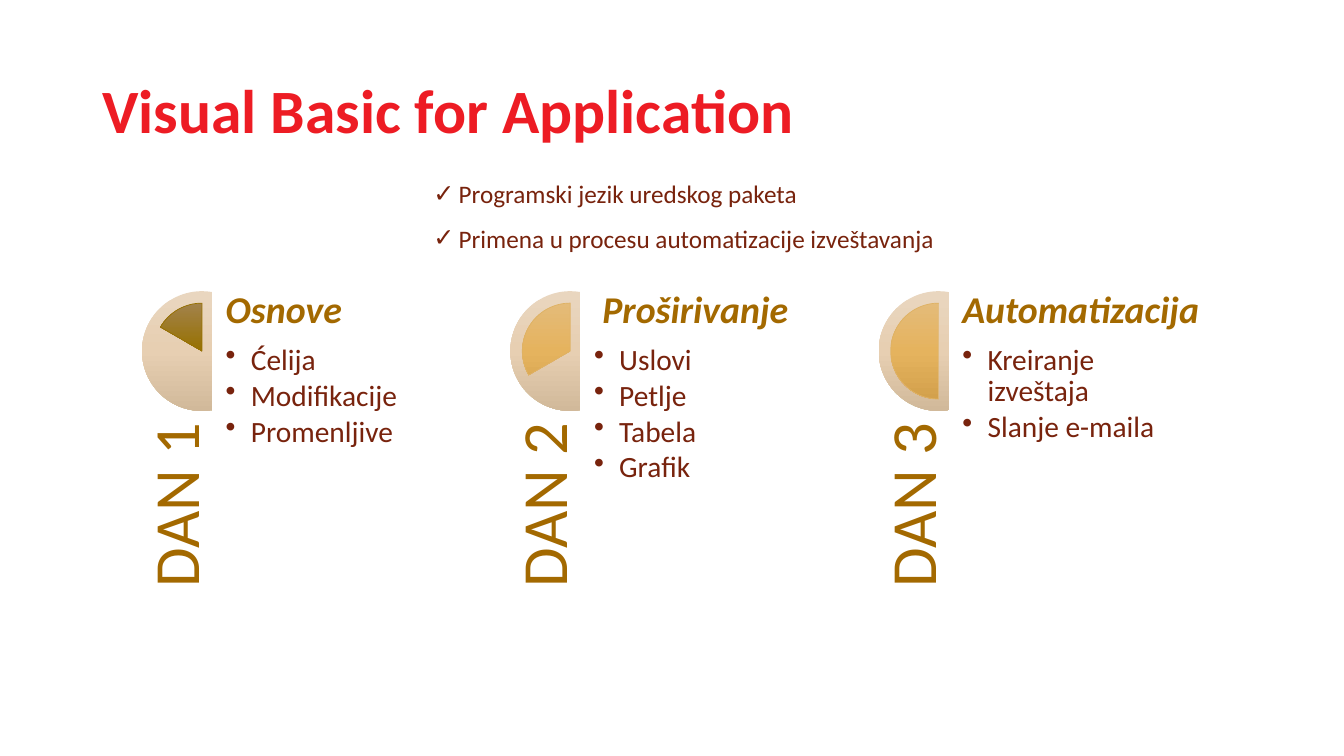
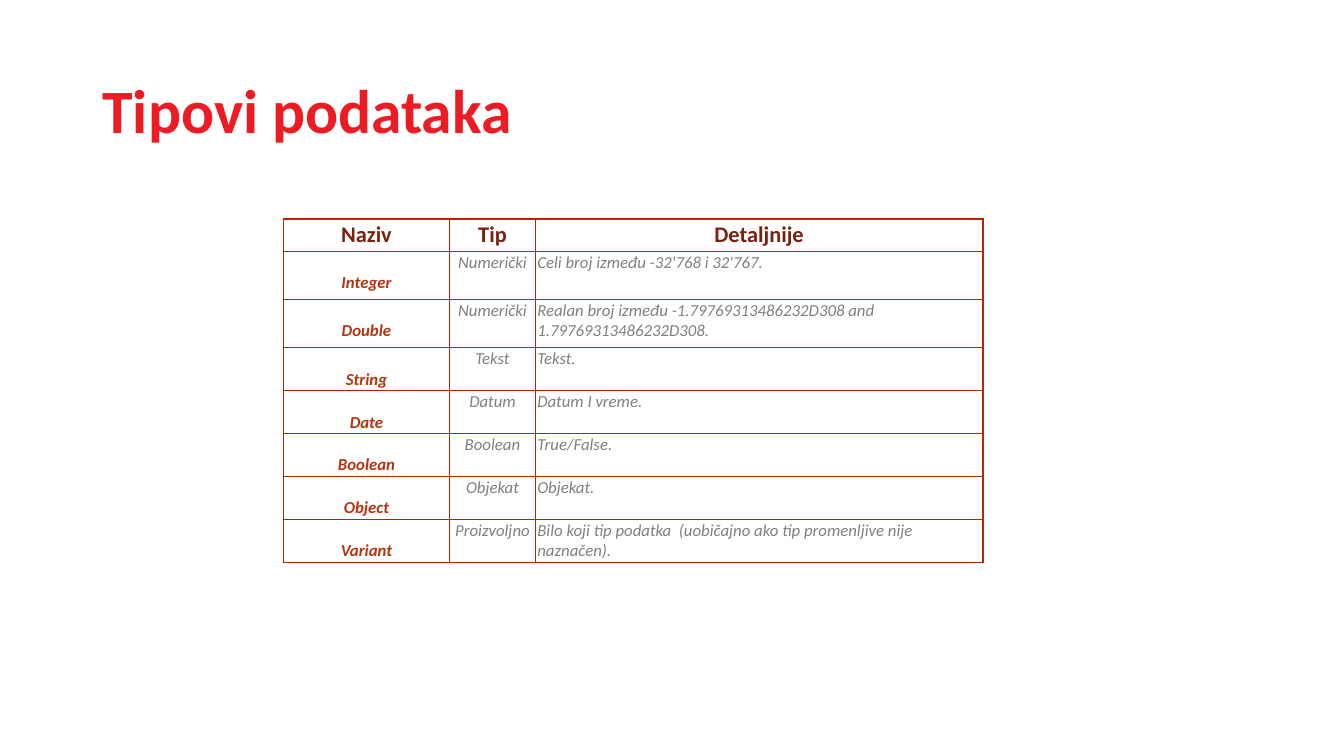
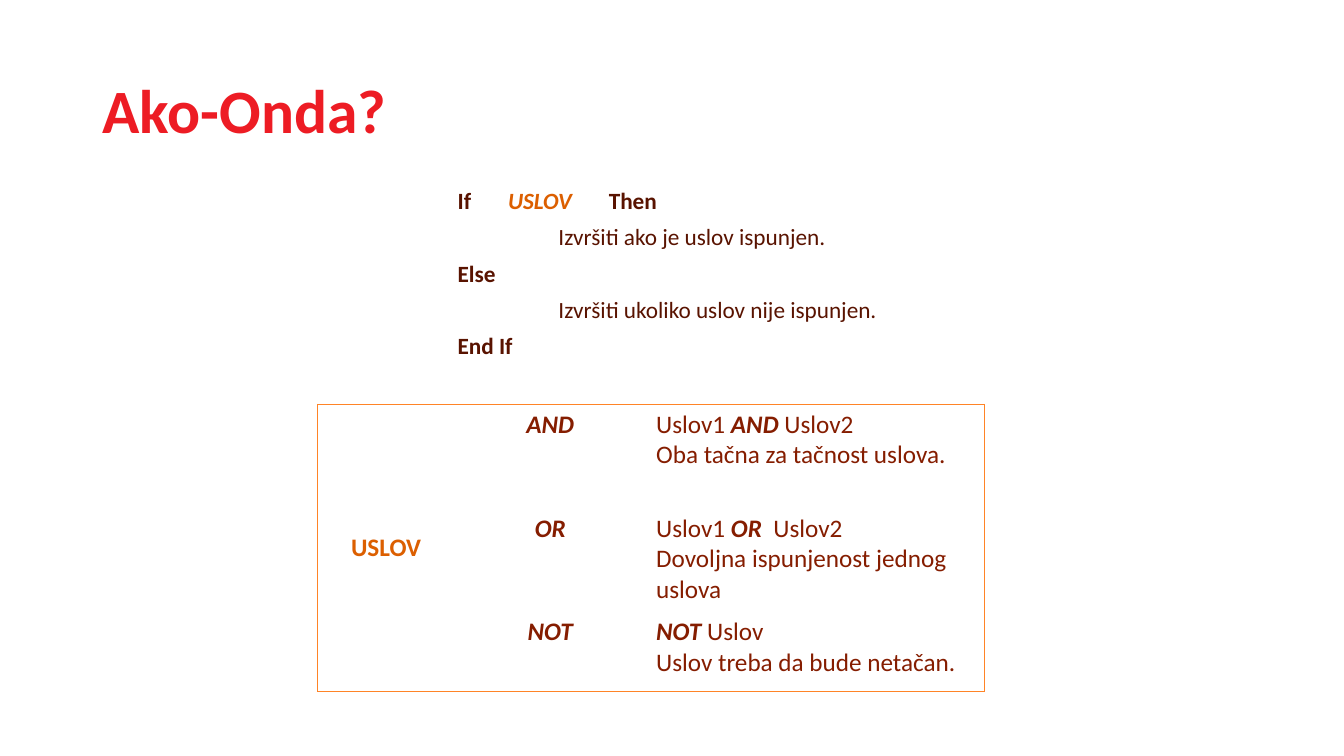
"""Builds three slides on a programming course: outline, data types and conditions."""
from copy import deepcopy

from lxml import etree
from pptx import Presentation
from pptx.dml.color import RGBColor
from pptx.enum.shapes import MSO_SHAPE
from pptx.enum.text import MSO_ANCHOR, MSO_AUTO_SIZE, PP_ALIGN
from pptx.oxml.ns import qn
from pptx.util import Pt

CHORD, PIE = MSO_SHAPE.CHORD, MSO_SHAPE.PIE
TOP, MID, LOW = MSO_ANCHOR.TOP, MSO_ANCHOR.MIDDLE, MSO_ANCHOR.BOTTOM
LEFT, MEAN, RIGHT = PP_ALIGN.LEFT, PP_ALIGN.CENTER, PP_ALIGN.RIGHT
FIXED = MSO_AUTO_SIZE.NONE
FACE = "Calibri"
INK = {
    "title": "ED1C24", "brown": "78230D", "gold": "A36900", "rust": "B53513",
    "gray": "808080", "dark": "591300", "orange": "DC5F00", "wine": "851D00",
    "grid": "B22600", "frame": "FF8427", "deep": "977100", "sand": "DFB264",
}
FADE = {
    "disc": ("E9D6BF", "E7CFB2", "D1B99A"),
    "deep": ("A2824B", "977100", "866500"),
    "sand": ("E4BB79", "E5B35E", "D3A14C"),
}
FLUSH = dict(margin_left=0, margin_right=0, margin_top=0, margin_bottom=0)
SNUG = dict(margin_left=Pt(1.4), margin_right=Pt(1.4),
            margin_top=Pt(0.7), margin_bottom=Pt(0.7))
DAYS = [
    ("DAN 1", "Osnove", 0, ["Ćelija", "Modifikacije", "Promenljive"], 126, "deep"),
    ("DAN 2", "Proširivanje", 6, ["Uslovi", "Petlje", "Tabela", "Grafik"], 90, "sand"),
    ("DAN 3", "Automatizacija", 0, ["Kreiranje izveštaja", "Slanje e-maila"], 54, "sand"),
]
TYPES = [
    ("Naziv", "Tip", "Detaljnije"),
    ("Integer", "Numerički", "Celi broj između -32'768 i 32'767."),
    ("Double", "Numerički",
     "Realan broj između -1.79769313486232D308 and 1.79769313486232D308."),
    ("String", "Tekst", "Tekst."),
    ("Date", "Datum", "Datum I vreme."),
    ("Boolean", "Boolean", "True/False."),
    ("Object", "Objekat", "Objekat."),
    ("Variant", "Proizvoljno",
     "Bilo koji tip podatka  (uobičajno ako tip promenljive nije naznačen)."),
]


def put(item, form):
    """Set each attribute of the item from a dict."""
    for name, value in form.items():
        setattr(item, name, value)


def tint(name):
    """Return the named colour."""
    return RGBColor.from_string(INK[name])


def run(text, size, ink, bold=False, italic=False):
    """Describe one run of text."""
    return text, ink, dict(name=FACE, size=Pt(size), bold=bold, italic=italic)


def line(*runs, mark=None, left=0, hang=0, tabs=(), **form):
    """Describe one paragraph."""
    base = dict(alignment=LEFT, line_spacing=1.0, space_before=Pt(0), space_after=Pt(0))
    return runs, mark, left, hang, tabs, {**base, **form}


def write(frame, lines):
    """Fill a text frame with described paragraphs."""
    for n, (runs, mark, left, hang, tabs, form) in enumerate(lines):
        para = frame.paragraphs[0] if n == 0 else frame.add_paragraph()
        put(para, form)
        if n == 0:
            para.space_before = Pt(0)
        props = para._p.get_or_add_pPr()
        props.set("marL", str(Pt(left)))
        props.set("indent", str(Pt(-hang)))
        if mark:
            etree.SubElement(props, qn("a:buChar"), char=mark)
        else:
            etree.SubElement(props, qn("a:buNone"))
        if tabs:
            stops = etree.SubElement(props, qn("a:tabLst"))
            for stop in tabs:
                etree.SubElement(stops, qn("a:tab"), pos=str(Pt(stop)), algn="l")
        for text, ink, font in runs:
            part = para.add_run()
            part.text = text
            put(part.font, font)
            part.font.color.rgb = tint(ink)


def place(shape, box, lines, **form):
    """Move a text shape and write in it."""
    put(shape, dict(zip(("left", "top", "width", "height"), map(Pt, box))))
    put(shape.text_frame, dict(word_wrap=True, auto_size=FIXED, vertical_anchor=TOP, **form)
        if "vertical_anchor" not in form else dict(word_wrap=True, auto_size=FIXED, **form))
    write(shape.text_frame, lines)


def start(deck, kind, title):
    """Add a slide with the shared title style."""
    slide = deck.slides.add_slide(deck.slide_layouts[kind])
    place(slide.shapes.title, (66, 28.8, 828, 104.4),
          [line(run(title, 44, "title", True), line_spacing=0.9)], vertical_anchor=MID)
    return slide


def label(slide, box, lines, turn=0, **form):
    """Add a text box without insets."""
    shape = slide.shapes.add_textbox(0, 0, 0, 0)
    place(shape, box, lines, **FLUSH, **form)
    shape.rotation = turn


def disc(slide, kind, left, top, size, arc, fade, edge=None):
    """Add a cut disc with a vertical gradient."""
    shape = slide.shapes.add_shape(kind, *map(Pt, (left, top, size, size)))
    shape.shadow.inherit = False
    for n, angle in enumerate(arc):
        shape.adjustments[n] = angle
    shape.fill.gradient()
    shape.fill.gradient_angle = 270
    stops = shape._element.spPr.find(".//" + qn("a:gsLst"))
    stops.insert(1, deepcopy(stops[0]))
    for n, (stop, shade) in enumerate(zip(shape.fill.gradient_stops, FADE[fade])):
        stop.position = n / 2
        stop.color.rgb = RGBColor.from_string(shade)
    if edge:
        shape.line.color.rgb = tint(edge)
        shape.line.width = Pt(0.5)
    else:
        shape.line.fill.background()


def grid(slide, left, top, cols, rows):
    """Add an empty plain table."""
    table = slide.shapes.add_table(len(rows), len(cols), Pt(left), Pt(top),
                                   Pt(sum(cols)), Pt(sum(rows))).table
    put(table, dict(first_row=False, horz_banding=False))
    for col, width in zip(table.columns, cols):
        col.width = Pt(width)
    for row, height in zip(table.rows, rows):
        row.height = Pt(height)
    return table


def cell(box, lines, sides, ink, width, **form):
    """Format one table cell and draw the given sides."""
    props = box._tc.get_or_add_tcPr()
    for side in "LRTB":
        edge = etree.SubElement(props, qn("a:ln" + side), w=str(Pt(width)))
        if side in sides:
            fill = etree.SubElement(edge, qn("a:solidFill"))
            etree.SubElement(fill, qn("a:srgbClr"), val=INK[ink])
        else:
            etree.SubElement(edge, qn("a:noFill"))
    box.fill.background()
    put(box, form)
    write(box.text_frame, lines)


def plan(deck):
    """Build the course outline."""
    slide = start(deck, 1, "Visual Basic for Application")
    goals = ["Programski jezik uredskog paketa", "Primena u procesu automatizacije izveštavanja"]
    place(slide.placeholders[1], (302.4, 124, 408, 72.5),
          [line(run(goal, 18, "brown"), mark="✓", left=18, hang=18, space_before=Pt(10))
           for goal in goals])
    top = 208
    for n, (day, head, shift, items, angle, fade) in enumerate(DAYS):
        left = 101.5 + 263.1 * n
        disc(slide, CHORD, left, top, 85.5, (48, 168), "disc")
        disc(slide, PIE, left + 8.5, top + 8.5, 68.5, (angle, 162), fade, fade)
        label(slide, (left - 89.5, 391.5, 230, 51),
              [line(run(day, 46, "gold"), alignment=RIGHT, line_spacing=0.9)],
              270, vertical_anchor=LOW)
        lines = [line(run(head, 27, "gold", True, True), left=shift,
                      line_spacing=0.9, space_after=Pt(9))]
        lines += [line(run(item, 21, "brown"), mark="•", left=18, hang=18,
                       line_spacing=0.9, space_after=Pt(3)) for item in items]
        label(slide, (left + 59.7, top, 171, 320), lines)


def types(deck):
    """Build the table of data types."""
    slide = start(deck, 5, "Tipovi podataka")
    table = grid(slide, 202.4, 156.4, (118.8, 61.2, 319.7), [23, 34.5, 34.5] + [30.5] * 5)
    looks = [(12, "rust", True, True), (12, "gray", False, True), (12, "gray", False, True)]
    for r, row in enumerate(TYPES):
        for c, text in enumerate(row):
            look = looks[c] if r else (16, "brown", True)
            para = line(run(text, *look), alignment=LEFT if r and c == 2 else MEAN,
                        line_spacing=2.0 if r and c == 0 else 1.0)
            cell(table.cell(r, c), [para], "LRTB", "grid", 1,
                 vertical_anchor=TOP if r else MID, **SNUG)


def rules(deck):
    """Build the condition syntax and its operators."""
    slide = start(deck, 1, "Ako-Onda?")
    gap = dict(line_spacing=0.8, space_before=Pt(10))

    def key(text):
        return run(text, 16.6, "dark", True)

    def note(text):
        return line(run(text, 16.6, "dark"), left=72, **gap)

    place(slide.placeholders[1], (319.7, 133.2, 347, 134.6), [
        line(key("If\t"), run("USLOV\t", 16.6, "orange", True, True), key("Then"),
             tabs=(24.5, 86), **gap),
        note("Izvršiti ako je uslov ispunjen."),
        line(key("Else"), **gap),
        note("Izvršiti ukoliko uslov nije ispunjen."),
        line(key("End If"), **gap),
    ])

    def word(text):
        return run(text, 18, "wine", True, True)

    def plain(text):
        return run(text, 18, "wine")

    cases = [
        ("AND", [plain("Uslov1 "), word("AND"), plain(" Uslov2")],
         "Oba tačna za tačnost uslova."),
        ("OR", [plain("Uslov1 "), word("OR"), plain("  Uslov2")],
         "Dovoljna ispunjenost jednog uslova"),
        ("NOT", [word("NOT "), plain("Uslov")], "Uslov treba da bude netačan."),
    ]
    table = grid(slide, 226.8, 288.7, (97.9, 136.8, 241.9), (74.2, 74.2, 57))
    table.cell(0, 0).merge(table.cell(2, 0))
    last = len(cases) - 1
    for r, (name, use, hint) in enumerate(cases):
        head = [line(run("USLOV", 18, "orange", True), alignment=MEAN)] if r == 0 else []
        row = [head, [line(word(name), alignment=MEAN)], [line(*use), line(plain(hint))]]
        for c, lines in enumerate(row):
            box = table.cell(r, c)
            sides = ("L", "", "R")[c] + "T" * (r == 0)
            sides += "B" * (r == last or box.is_merge_origin)
            cell(box, lines, sides, "frame", 0.5, vertical_anchor=TOP if c else MID)


def main():
    """Build and save the deck."""
    deck = Presentation()
    put(deck, dict(slide_width=Pt(960), slide_height=Pt(540)))
    for build in (plan, types, rules):
        build(deck)
    deck.save("out.pptx")


if __name__ == "__main__":
    main()
